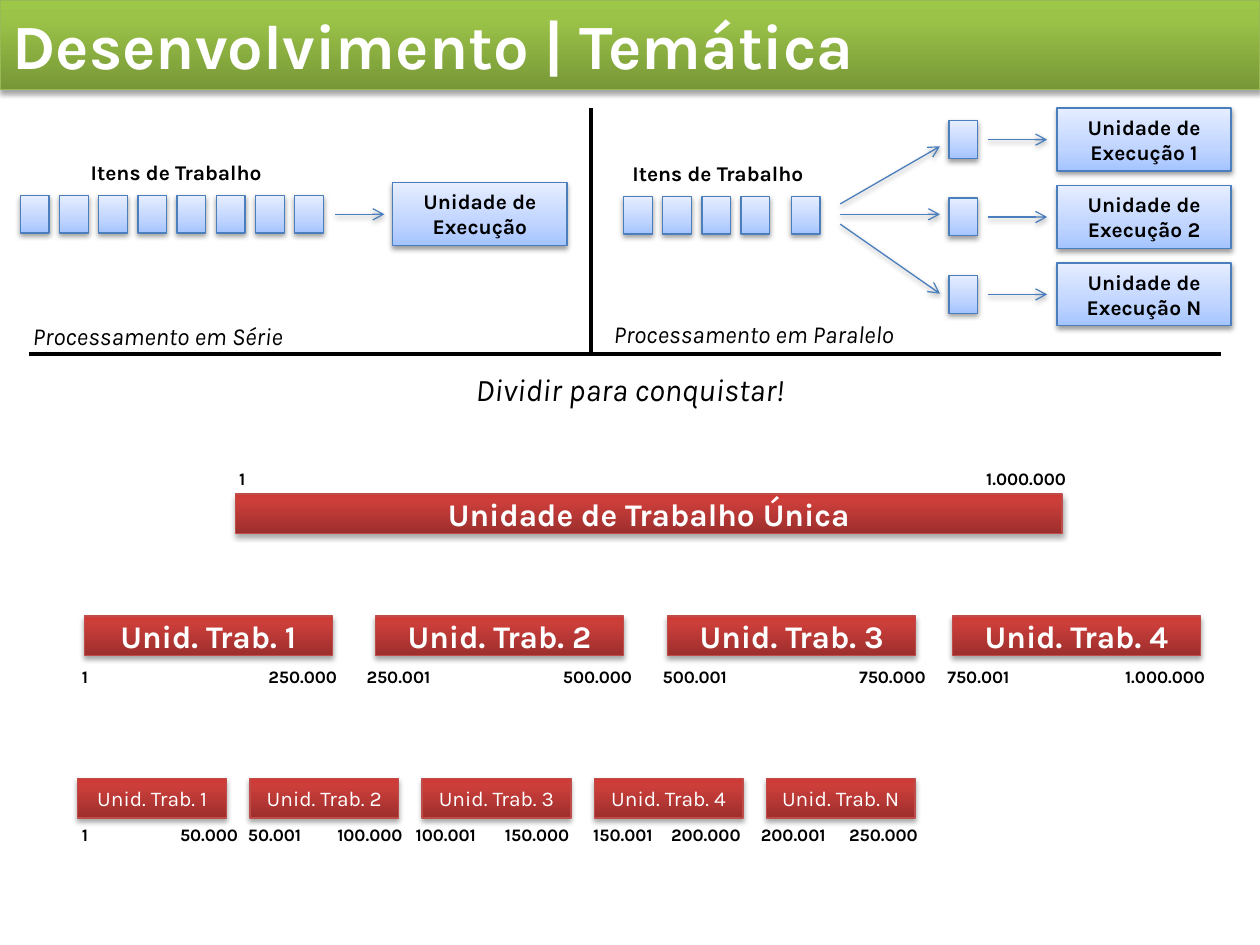
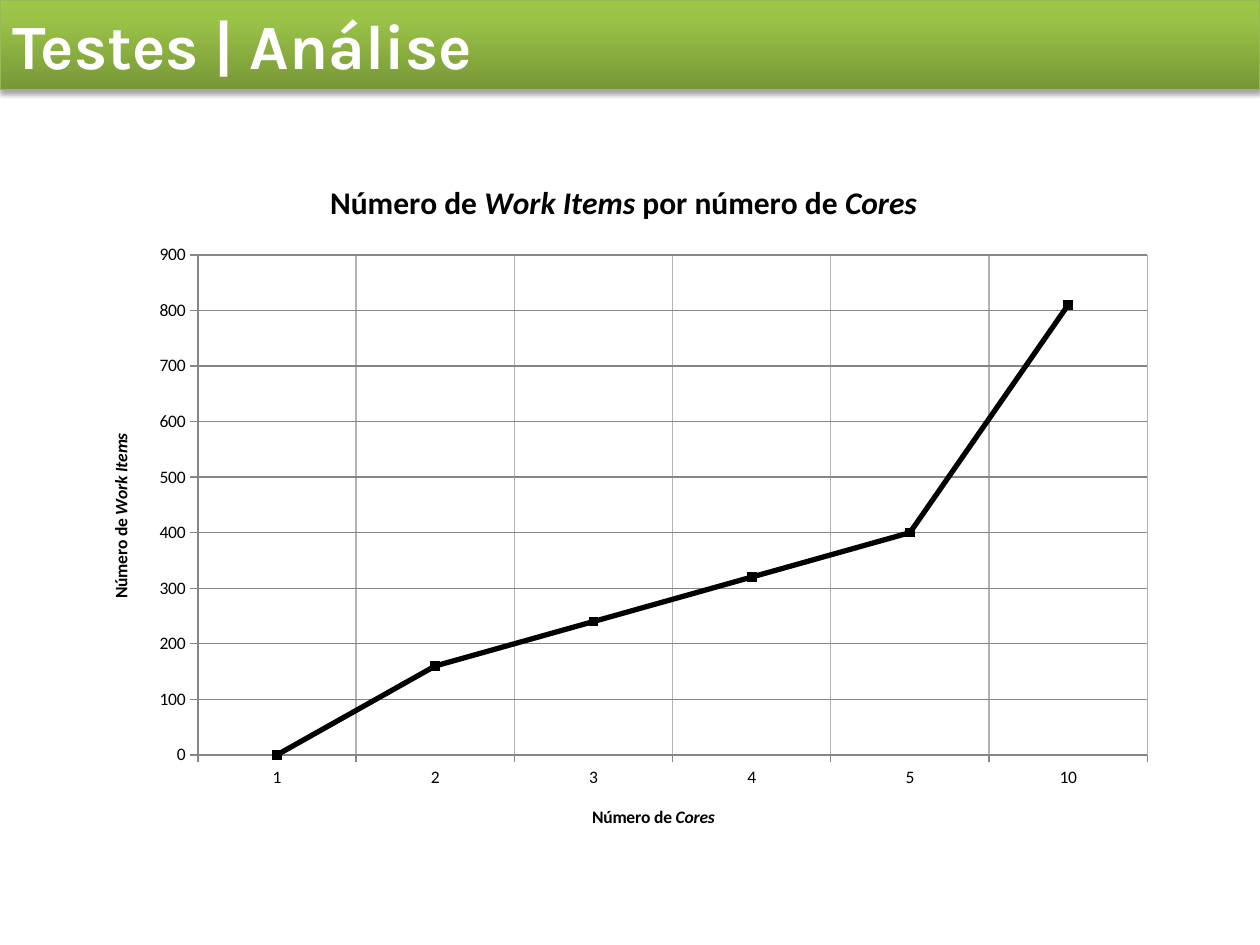
from collections import namedtuple
from lxml.etree import SubElement
from pptx import Presentation
from pptx.chart.data import CategoryChartData
from pptx.dml.color import RGBColor
from pptx.enum.chart import XL_CHART_TYPE, XL_MARKER_STYLE, XL_TICK_MARK
from pptx.enum.shapes import MSO_CONNECTOR, MSO_SHAPE
from pptx.enum.text import MSO_ANCHOR, MSO_AUTO_SIZE, PP_ALIGN
from pptx.oxml import parse_xml
from pptx.oxml.ns import nsdecls, qn
from pptx.util import Cm, Pt

Box = namedtuple("Box", "left top width height")
Look = namedtuple("Look", "stops line opacity distance")

COLORS = {
    "text": "000000",
    "light": "FFFFFF",
    "green_line": "98B955",
    "red_line": "BF4C48",
    "blue_line": "4B7EBC",
    "value_grid": "868686",
    "category_grid": "B3B3B3",
}
GREEN = Look([(0, "779737"), (80, "9BC348"), (100, "9DC746")], "green_line", 35, 1.8)
RED = Look([(0, "9C2F2D"), (80, "CB3E3A"), (100, "CE3B37")], "red_line", 35, 1.8)
BLUE = Look([(0, "A4C4FF"), (35, "BFD4FF"), (100, "E6EEFF")], "blue_line", 38, 1.6)

FONT = "Karla"
CHART_FONT = "Calibri"
ITEM_WIDTH, ITEM_HEIGHT, ITEM_PITCH = 0.58, 0.76, 0.79
UNIT_WIDTH, UNIT_HEIGHT = 3.51, 1.27
BAR_HEIGHT = 0.79

QUARTERS = [
    ("Unid. Trab. 1", 0, "1", -0.3, "250.000", 3.46),
    ("Unid. Trab. 2", 5.87, "250.001", 5.44, "500.000", 9.4),
    ("Unid. Trab. 3", 11.76, "500.001", 11.41, "750.000", 15.37),
    ("Unid. Trab. 4", 17.5, "750.001", 17.15, "1.000.000", 20.73),
]
FIFTHS = [
    ("Unid. Trab. 1", 0, "1", -0.17, "50.000", 1.81),
    ("Unid. Trab. 2", 3.47, "50.001", 3.18, "100.000", 4.98),
    ("Unid. Trab. 3", 6.94, "100.001", 6.56, "150.000", 8.36),
    ("Unid. Trab. 4", 10.41, "150.001", 10.14, "200.000", 11.71),
    ("Unid. Trab. N", 13.88, "200.001", 13.52, "250.000", 15.3),
]
WORK_ITEMS = {"1": 0, "2": 160, "3": 240, "4": 320, "5": 400, "10": 810}


def rgb(name):
    return RGBColor.from_string(COLORS[name])


def set_font(font, size, color="text", bold=False, italic=False, name=FONT):
    font.name = name
    font.size = Pt(size)
    font.bold = bold
    font.italic = italic
    font.color.rgb = rgb(color)


def add_shadow(effects, look):
    shadow = SubElement(
        effects, qn("a:outerShdw"), blurRad=str(Pt(3.1)),
        dist=str(Pt(look.distance)), dir="5400000", rotWithShape="0",
    )
    color = SubElement(shadow, qn("a:srgbClr"), val=COLORS["text"])
    SubElement(color, qn("a:alpha"), val=str(look.opacity * 1000))


def apply_look(shape, look):
    shape.fill.gradient()
    shape.fill.gradient_angle = 90
    properties = shape._element.spPr
    stops = properties.find(qn("a:gradFill")).find(qn("a:gsLst"))
    for stop in list(stops):
        stops.remove(stop)
    for position, color in look.stops:
        stop = SubElement(stops, qn("a:gs"), pos=str(position * 1000))
        SubElement(stop, qn("a:srgbClr"), val=color)
    shape.line.color.rgb = rgb(look.line)
    shape.line.width = Pt(0.75)
    shape.shadow.inherit = False
    add_shadow(properties.find(qn("a:effectLst")), look)


def write(shape, text, size, align=PP_ALIGN.LEFT, anchor=MSO_ANCHOR.TOP, **style):
    frame = shape.text_frame
    frame.word_wrap = True
    frame.auto_size = MSO_AUTO_SIZE.NONE
    frame.vertical_anchor = anchor
    frame.text = text
    paragraph = frame.paragraphs[0]
    paragraph.alignment = align
    set_font(paragraph.font, size, **style)


def add_block(slide, box, look):
    shape = slide.shapes.add_shape(MSO_SHAPE.RECTANGLE, *map(Cm, box))
    apply_look(shape, look)
    return shape


def add_label(slide, box, text, size, **style):
    write(slide.shapes.add_textbox(*map(Cm, box)), text, size, **style)


def add_line(slide, start, end, color, width):
    line = slide.shapes.add_connector(MSO_CONNECTOR.STRAIGHT, *map(Cm, start + end))
    line.line.color.rgb = rgb(color)
    line.line.width = Pt(width)
    return line, SubElement(line._element.spPr, qn("a:effectLst"))


def add_arrow(slide, start, end):
    arrow, effects = add_line(slide, start, end, "blue_line", 0.75)
    outline = arrow._element.spPr.find(qn("a:ln"))
    SubElement(outline, qn("a:tailEnd"), type="arrow")
    add_shadow(effects, BLUE)


def add_titled_slide(presentation, title):
    slide = presentation.slides.add_slide(presentation.slide_layouts[5])
    band = slide.shapes.title
    band.left, band.top, band.width, band.height = map(Cm, Box(0, 0, 25.4, 1.8))
    apply_look(band, GREEN)
    write(band, title, 36, color="light", bold=True)
    return slide


def add_item(slide, left, top):
    add_block(slide, Box(left, top, ITEM_WIDTH, ITEM_HEIGHT), BLUE)


def add_execution_unit(slide, left, top, text):
    unit = add_block(slide, Box(left, top, UNIT_WIDTH, UNIT_HEIGHT), BLUE)
    write(unit, text, 12, align=PP_ALIGN.CENTER, bold=True)


def add_item_heading(slide, left, top):
    add_label(slide, Box(left, top, 4.17, 0.76), "Itens de Trabalho", 12, bold=True)


def add_serial_region(slide, box):
    left, top, width, height = box
    for index in range(8):
        add_item(slide, left + index * ITEM_PITCH, top + 1.76)
    add_item_heading(slide, left + 1.17, top + 0.92)
    add_arrow(slide, (left + 6.35, top + 2.14), (left + 7.34, top + 2.14))
    add_execution_unit(slide, left + width - UNIT_WIDTH, top + 1.5, "Unidade de Execução")
    caption = Box(left, top + height - 0.86, 6.35, 0.86)
    add_label(slide, caption, "Processamento em Série", 14, italic=True)


def add_parallel_region(slide, box):
    left, top, width, height = box
    for offset in [index * ITEM_PITCH for index in range(4)] + [3.38]:
        add_item(slide, left + 0.45 + offset, top + 1.78)
    add_item_heading(slide, left + 0.38, top + 0.94)
    fan = [(1.93, 0.77), (2.14, 2.14), (2.34, 3.74)]
    for index, (name, (start, end)) in enumerate(zip("12N", fan)):
        lane = top + index * 1.56
        middle = lane + UNIT_HEIGHT / 2
        add_arrow(slide, (left + 4.82, top + start), (left + 6.83, top + end))
        add_item(slide, left + 7.01, middle - ITEM_HEIGHT / 2)
        add_arrow(slide, (left + 7.79, middle), (left + 8.99, middle))
        add_execution_unit(
            slide, left + width - UNIT_WIDTH, lane, f"Unidade de Execução {name}"
        )
    caption = Box(left, top + height - 0.86, 6.93, 0.86)
    add_label(slide, caption, "Processamento em Paralelo", 14, italic=True)


def add_work_bar(slide, box, text, size, bold):
    write(
        add_block(slide, box, RED), text, size, align=PP_ALIGN.CENTER,
        anchor=MSO_ANCHOR.MIDDLE, color="light", bold=bold,
    )


def add_bound(slide, left, top, text):
    width = {1: 1, 9: 2.39}.get(len(text), 1.98)
    add_label(slide, Box(left, top, width, 0.69), text, 10, bold=True)


def add_single_work(slide, box):
    add_work_bar(slide, box, "Unidade de Trabalho Única", 18, True)
    add_bound(slide, box.left - 0.18, box.top - 0.64, "1")
    add_bound(slide, box.left + 14.88, box.top - 0.64, "1.000.000")


def add_split_work(slide, box, parts, bar_width, size, bold, bound_gap):
    bound_top = box.top + box.height + bound_gap
    for name, offset, first, first_offset, last, last_offset in parts:
        bar = Box(box.left + offset, box.top, bar_width, box.height)
        add_work_bar(slide, bar, name, size, bold)
        add_bound(slide, box.left + first_offset, bound_top, first)
        add_bound(slide, box.left + last_offset, bound_top, last)


def add_theme_slide(presentation):
    slide = add_titled_slide(presentation, "Desenvolvimento | Temática")
    add_line(slide, (11.91, 2.18), (11.91, 7.14), "text", 2.25)
    add_line(slide, (0.58, 7.14), (24.61, 7.14), "text", 2.25)
    add_serial_region(slide, Box(0.41, 2.18, 11.02, 5.03))
    add_parallel_region(slide, Box(12.12, 2.18, 12.7, 4.98))
    add_label(
        slide, Box(0, 7.34, 25.4, 1.02), "Dividir para conquistar!", 18,
        align=PP_ALIGN.CENTER, italic=True,
    )
    add_single_work(slide, Box(4.75, 9.96, 16.66, BAR_HEIGHT))
    add_split_work(
        slide, Box(1.7, 12.42, 22.5, BAR_HEIGHT), QUARTERS, 5, 18, True, 0.1
    )
    add_split_work(
        slide, Box(1.57, 15.7, 16.88, BAR_HEIGHT), FIFTHS, 3, 12, False, 0
    )


def write_chart_title(owner, size, parts):
    owner.has_title = True
    title = owner.chart_title if hasattr(owner, "chart_title") else owner.axis_title
    paragraph = title.text_frame.paragraphs[0]
    for index, text in enumerate(parts):
        run = paragraph.add_run()
        run.text = text
        set_font(run.font, size, bold=True, italic=index % 2 == 1, name=CHART_FONT)


def set_plot_area(chart, left, top, width, height):
    plot_area = chart._chartSpace.chart.plotArea
    for layout in plot_area.findall(qn("c:layout")):
        plot_area.remove(layout)
    plot_area.insert(0, parse_xml(
        f'<c:layout {nsdecls("c")}><c:manualLayout><c:layoutTarget val="inner"/>'
        '<c:xMode val="edge"/><c:yMode val="edge"/>'
        f'<c:x val="{left}"/><c:y val="{top}"/><c:w val="{width}"/><c:h val="{height}"/>'
        "</c:manualLayout></c:layout>"
    ))


def add_work_items_chart(slide, box):
    data = CategoryChartData(number_format="0")
    data.categories = list(WORK_ITEMS)
    data.add_series("Series 1", WORK_ITEMS.values())
    chart = slide.shapes.add_chart(
        XL_CHART_TYPE.LINE_MARKERS, *map(Cm, box), data
    ).chart
    set_font(chart.font, 10, name=CHART_FONT)
    chart.has_legend = False
    write_chart_title(
        chart, 18, ["Número de ", "Work Items", " por número de ", "Cores"]
    )
    write_chart_title(chart.category_axis, 10, ["Número de ", "Cores"])
    write_chart_title(chart.value_axis, 10, ["Número de ", "Work Items"])
    for axis, grid in (
        (chart.category_axis, "category_grid"),
        (chart.value_axis, "value_grid"),
    ):
        axis.has_major_gridlines = True
        axis.major_tick_mark = XL_TICK_MARK.OUTSIDE
        for line in (axis.major_gridlines.format.line, axis.format.line):
            line.width = Pt(0.75)
        axis.major_gridlines.format.line.color.rgb = rgb(grid)
        axis.format.line.color.rgb = rgb("value_grid")
    chart.value_axis.minimum_scale = 0
    chart.value_axis.maximum_scale = 900
    chart.value_axis.major_unit = 100
    plot = chart.plots[0]
    plot.vary_by_categories = False
    series = plot.series[0]
    series.smooth = False
    series.format.line.color.rgb = rgb("text")
    series.format.line.width = Pt(3)
    series.marker.style = XL_MARKER_STYLE.SQUARE
    series.marker.size = 5
    series.marker.format.fill.solid()
    series.marker.format.fill.fore_color.rgb = rgb("text")
    series.marker.format.line.color.rgb = rgb("text")
    set_plot_area(chart, 0.11, 0.14, 0.87, 0.72)


def add_analysis_slide(presentation):
    slide = add_titled_slide(presentation, "Testes | Análise")
    add_work_items_chart(slide, Box(1.57, 3.18, 22, 14))


def main():
    presentation = Presentation()
    presentation.slide_width = Cm(25.4)
    presentation.slide_height = Cm(19.05)
    add_theme_slide(presentation)
    add_analysis_slide(presentation)
    presentation.save("out.pptx")


if __name__ == "__main__":
    main()
